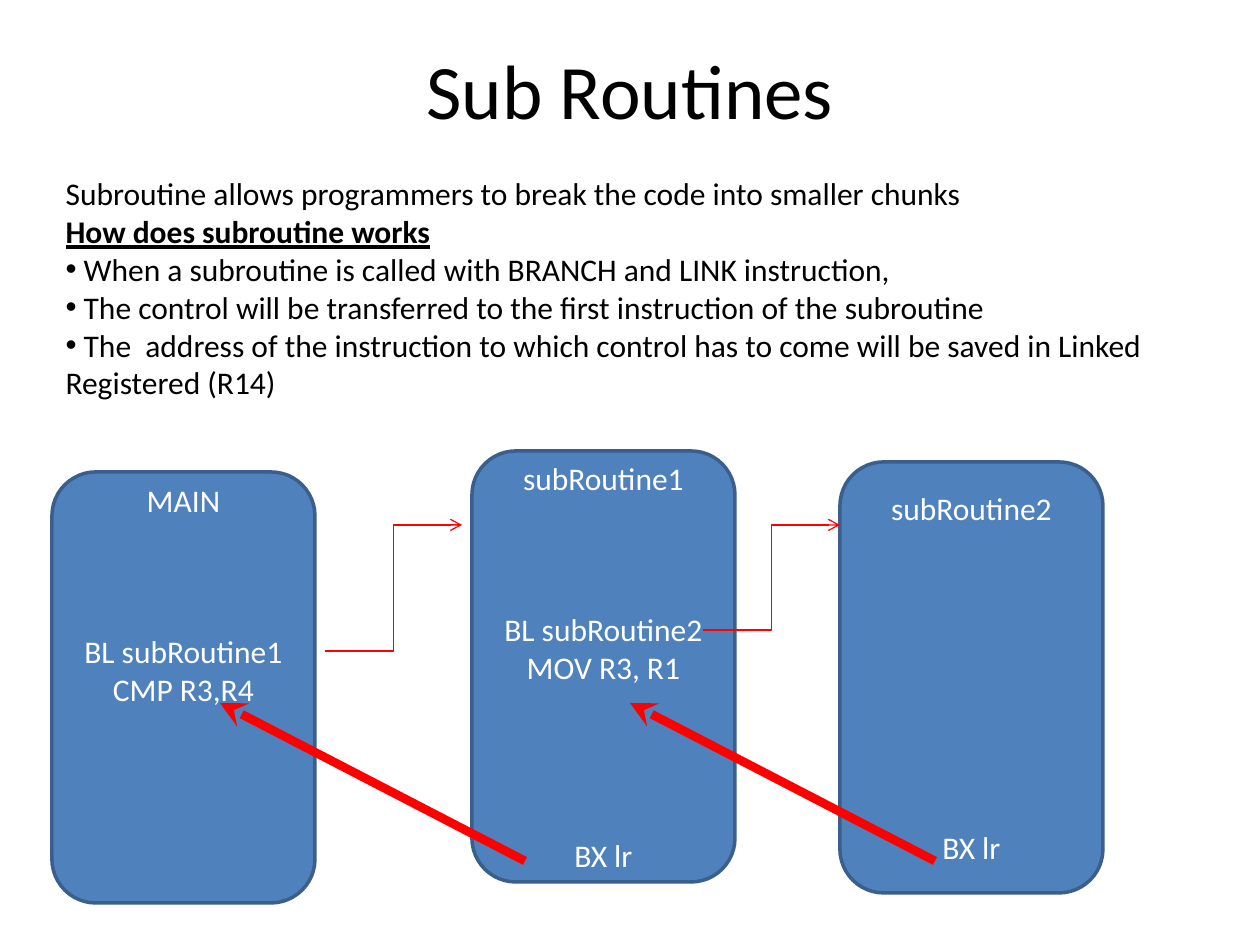
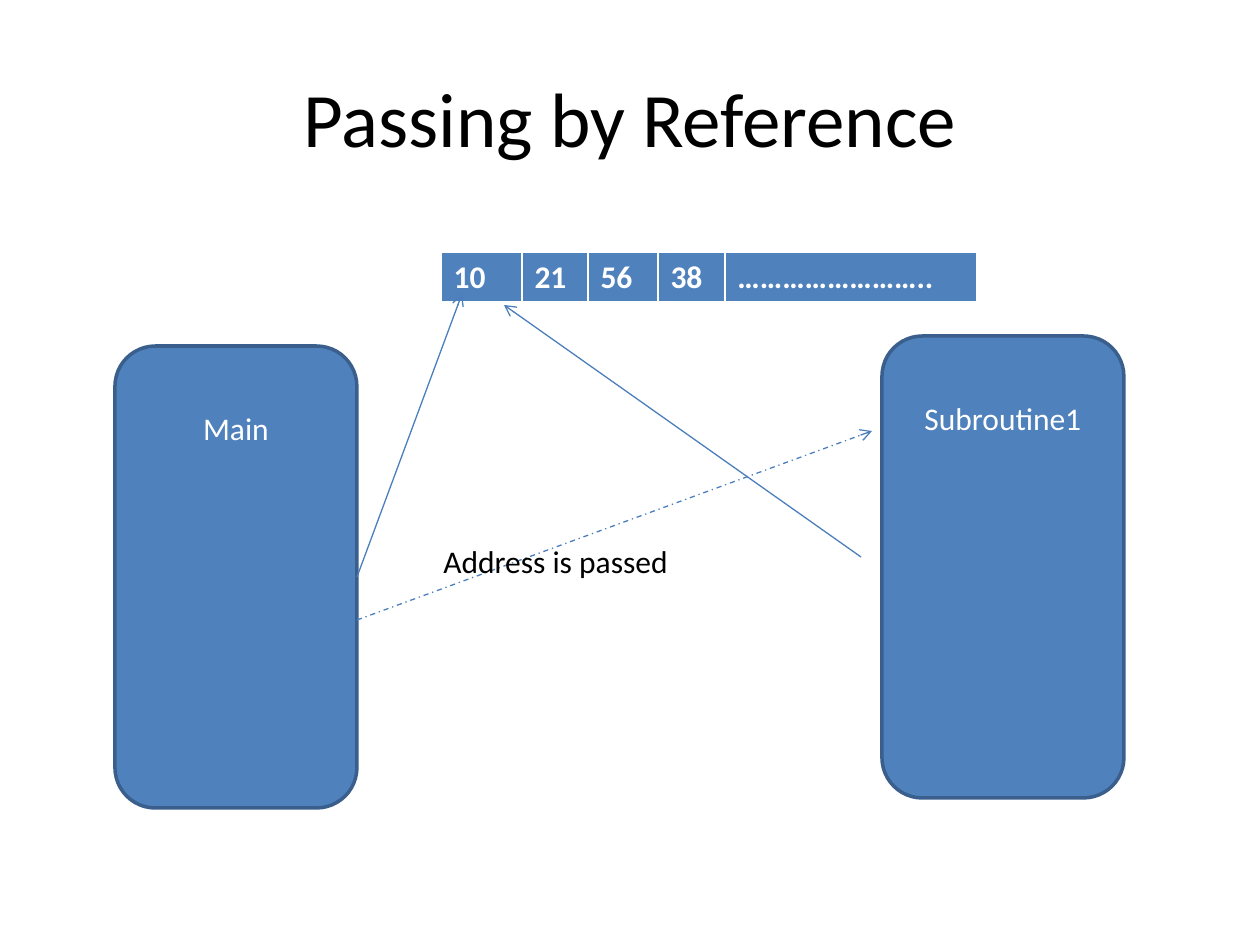
from itertools import accumulate
from lxml.etree import SubElement
from pptx import Presentation
from pptx.dml.color import RGBColor
from pptx.enum.dml import MSO_LINE as Dash
from pptx.enum.shapes import MSO_CONNECTOR as Link, MSO_SHAPE as Shape
from pptx.enum.text import MSO_ANCHOR as Anchor, MSO_AUTO_SIZE as AutoSize, PP_ALIGN as Align
from pptx.oxml.ns import qn
from pptx.util import Emu, Pt

COLOURS = {
    "text": "000000",
    "light": "FFFFFF",
    "fill": "4F81BD",
    "outline": "3A5F8C",
    "pointer": "4B7EBC",
    "call": "FF0000",
}
BODY_FONT = {"name": "Calibri", "size": Pt(18)}
TITLE_FONT = {"name": "Calibri", "size": Pt(44)}
HEADING_FONT = {"bold": True, "underline": True}
PLAIN_FRAME = {"word_wrap": True, "auto_size": AutoSize.NONE}
LIST_SPACING = {"space_before": Pt(0), "space_after": Pt(0), "line_spacing": 1.0}
LINE_HEIGHT = 37.7


def px(length):
    return Emu(round(length * 914400 / 126))


def colour(name):
    return RGBColor.from_string(COLOURS[name])


def apply(target, formats):
    for attribute, value in formats.items():
        setattr(target, attribute, value)


def write(paragraph, words, shade, formats):
    run = paragraph.add_run()
    run.text = words
    apply(run.font, formats)
    run.font.color.rgb = colour(shade)


def place(part, box):
    apply(part, dict(zip(("left", "top", "width", "height"), map(px, box))))


def add_title(slide, words, box):
    title = slide.shapes.title
    place(title, box)
    apply(title.text_frame, {**PLAIN_FRAME, "vertical_anchor": Anchor.MIDDLE})
    heading = title.text_frame.paragraphs[0]
    heading.alignment = Align.CENTER
    write(heading, words, "text", TITLE_FONT)


def add_explanation(slide, box, lines):
    body = slide.placeholders[1]
    place(body, box)
    frame = body.text_frame
    apply(frame, {**PLAIN_FRAME, "vertical_anchor": Anchor.TOP})
    for index, (words, bulleted, formats) in enumerate(lines):
        paragraph = frame.add_paragraph() if index else frame.paragraphs[0]
        apply(paragraph, LIST_SPACING)
        properties = paragraph._p.get_or_add_pPr()
        properties.set("marL", "0")
        properties.set("indent", "0")
        if bulleted:
            SubElement(properties, qn("a:buFont"), typeface="Arial")
            SubElement(properties, qn("a:buChar"), char="•")
        else:
            SubElement(properties, qn("a:buNone"))
        write(paragraph, words, "text", {**BODY_FONT, **formats})


def add_routine(slide, box, lines, bottom_margin=6):
    routine = slide.shapes.add_shape(Shape.ROUNDED_RECTANGLE, *map(px, box))
    routine.shadow.inherit = False
    routine.fill.solid()
    routine.fill.fore_color.rgb = colour("fill")
    routine.line.color.rgb = colour("outline")
    routine.line.width = Pt(2)
    frame = routine.text_frame
    apply(frame, {**PLAIN_FRAME, "vertical_anchor": Anchor.MIDDLE, "margin_bottom": px(bottom_margin)})
    for index, (words, skipped_lines) in enumerate(lines):
        paragraph = frame.add_paragraph() if index else frame.paragraphs[0]
        apply(paragraph, {"alignment": Align.CENTER, "space_before": px(skipped_lines * LINE_HEIGHT)})
        write(paragraph, words, "light", BODY_FONT)


def add_arrow(slide, start, end, shade, width=0.75, head="arrow", kind=Link.STRAIGHT, dash=None):
    arrow = slide.shapes.add_connector(kind, *map(px, start + end))
    arrow.line.color.rgb = colour(shade)
    arrow.line.width = Pt(width)
    if dash:
        arrow.line.dash_style = dash
    SubElement(arrow.line._get_or_add_ln(), qn("a:tailEnd"), type=head)
    SubElement(arrow._element.spPr, qn("a:effectLst"))


def add_cell_borders(cell):
    properties = cell._tc.get_or_add_tcPr()
    for side, width in {"L": 1, "R": 1, "T": 1, "B": 3}.items():
        border = SubElement(properties, qn(f"a:ln{side}"), w=str(Pt(width)))
        SubElement(SubElement(border, qn("a:solidFill")), qn("a:srgbClr"), val=COLOURS["light"])


def add_array(slide, left, top, height, values, widths):
    box = (left, top, sum(widths), height)
    array = slide.shapes.add_table(1, len(values), *map(px, box)).table
    apply(array, {"first_row": False, "horz_banding": False})
    for column, cell, value, width in zip(array.columns, array.rows[0].cells, values, widths):
        column.width = px(width)
        add_cell_borders(cell)
        cell.fill.solid()
        cell.fill.fore_color.rgb = colour("fill")
        write(cell.text_frame.paragraphs[0], value, "light", {**BODY_FONT, "bold": True})


def add_label(slide, box, words):
    label = slide.shapes.add_textbox(*map(px, box))
    label.text_frame.word_wrap = False
    write(label.text_frame.paragraphs[0], words, "text", BODY_FONT)


def build_subroutines(deck):
    slide = deck.slides.add_slide(deck.slide_layouts[1])
    add_title(slide, "Sub Routines", (63, 10, 1134, 158))
    add_explanation(slide, (53, 168, 1176, 280), [
        ("Subroutine allows programmers to break the code into smaller chunks", False, {}),
        ("How does subroutine works", False, HEADING_FONT),
        (" When a subroutine is called with BRANCH and LINK instruction,", True, {}),
        (" The control will be transferred to the first instruction of the subroutine", True, {}),
        (" The  address of the instruction to which control has to come will be saved in "
         "Linked Registered (R14)", True, {}),
    ])
    size = (263, 431)
    add_routine(slide, (52, 472, *size), [("MAIN", 0), ("BL subRoutine1", 3), ("CMP R3,R4", 0)], 192)
    add_routine(slide, (472, 451, *size),
                [("subRoutine1", 0), ("BL subRoutine2", 3), ("MOV R3, R1", 0), ("BX lr", 4)])
    add_routine(slide, (840, 462, *size), [("subRoutine2", 0), ("BX lr", 8)])
    for start, end in (((325, 651), (462, 525)), ((703, 630), (840, 525))):
        add_arrow(slide, start, end, "call", kind=Link.ELBOW)
    for return_left in (630, 220):
        add_arrow(slide, (return_left + 305, 861), (return_left, 703), "call", 5, "stealth")


def build_reference(deck):
    slide = deck.slides.add_slide(deck.slide_layouts[5])
    add_title(slide, "Passing by Reference", (63, 38, 1134, 158))
    for left, top, name in ((115, 346, "Main"), (882, 336, "Subroutine1")):
        add_routine(slide, (left, top, 242, 462), [(name, 0)], 305)
    add_array(slide, 441, 252, 50, ["10", "21", "56", "38", "…………………….."], [81, 66, 70, 67, 252])
    add_arrow(slide, (357, 577), (462, 294), "pointer")
    add_arrow(slide, (861, 557), (504, 305), "pointer")
    add_arrow(slide, (357, 620), (872, 431), "pointer", dash=Dash.DASH_DOT)
    add_label(slide, (431, 536, 252, 50), "Address is passed")


deck = Presentation()
apply(deck, {"slide_width": px(1260), "slide_height": px(945)})
build_subroutines(deck)
build_reference(deck)
deck.save("out.pptx")
